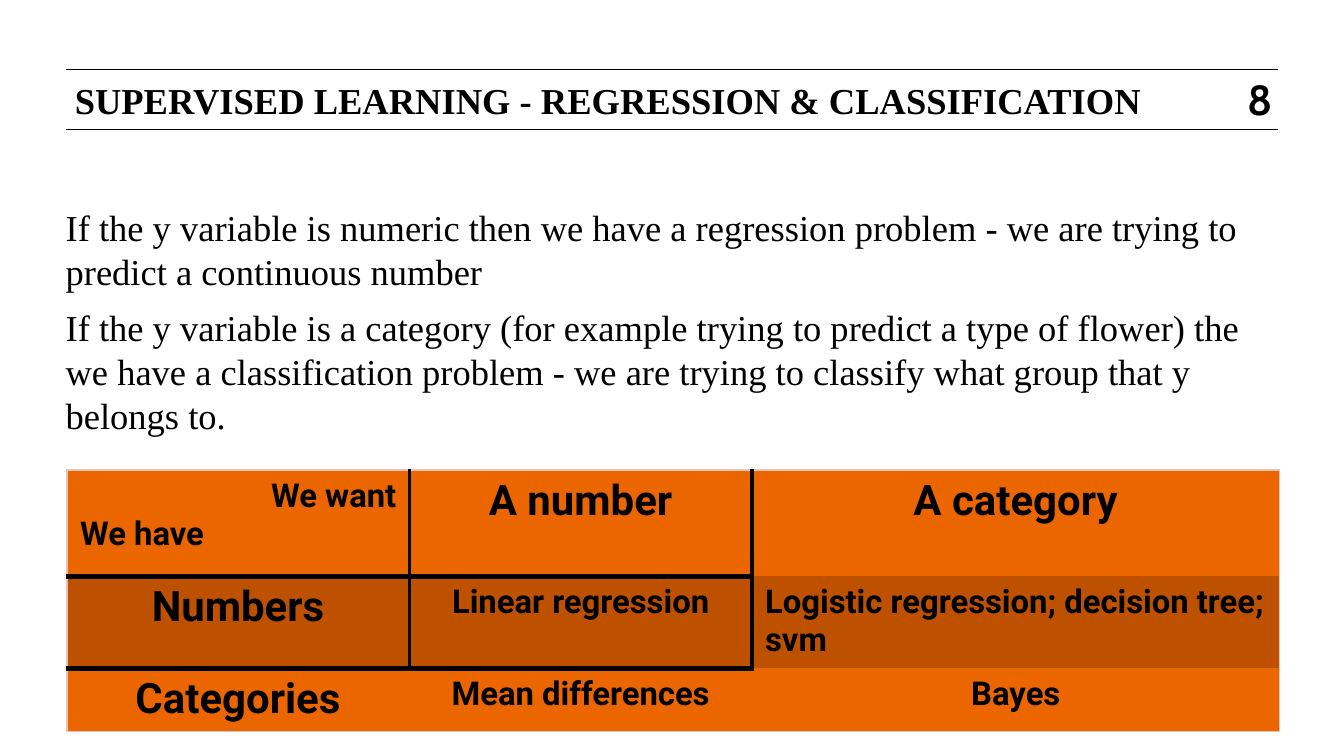
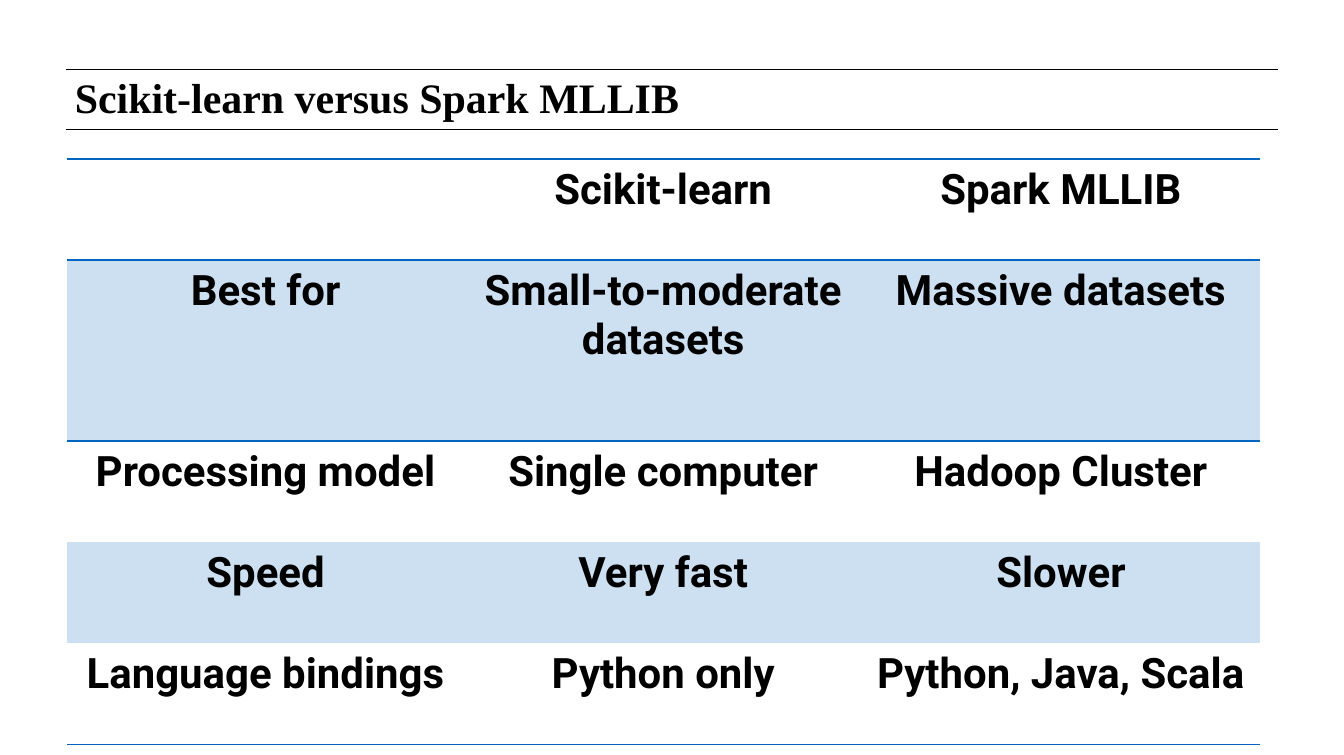
import pptx
import pptx.util
import pptx.dml.color
import pptx.enum.shapes
import pptx.enum.text
import pptx.oxml
import pptx.oxml.ns
from lxml import etree

WIDTH, HEIGHT = 10.24, 5.75
LEFT, RIGHT = 0.5, 9.74
RULES = (0.53, 0.99)
BLACK, ORANGE, DARK_ORANGE, PALE_ORANGE = "000000", "EC6600", "BD5100", "EBC2B8"
BLUE, PALE_BLUE, WHITE = "0365C0", "CDE0F2", "FFFFFF"
NO_STYLE = "{2D5ABB26-0587-4C30-8999-92F81FD0307C}"
ALIGN = pptx.enum.text.PP_ALIGN
ANCHOR = pptx.enum.text.MSO_ANCHOR

SERIF = {"name": "Times New Roman", "size": 20, "bold": False}
TITLE = {**SERIF, "bold": True}
NUMBER = {"name": "Cabin", "size": 23, "bold": True}
LARGE = {"name": "Roboto", "size": 23, "bold": True}
SMALL = {**LARGE, "size": 18}

LEARNING_TEXT = [
    "If the y variable is numeric then we have a regression problem - we are trying to predict a continuous number",
    "If the y variable is a category (for example trying to predict a type of flower) the we have a classification "
    "problem - we are trying to classify what group that y belongs to.",
]

LEARNING_TABLE = {
    "left": 0.51, "top": 3.58,
    "columns": [2.61, 2.61, 4.02],
    "rows": [0.81, 0.7, 0.48],
    "fills": [ORANGE, DARK_ORANGE, ORANGE],
    "cells": [
        [["We want", "We have"], ["A number"], ["A category"]],
        [["Numbers"], ["Linear regression"], ["Logistic regression; decision tree; svm"]],
        [["Categories"], ["Mean differences"], ["Bayes"]],
    ],
    "small": {(0, 0), (1, 1), (1, 2), (2, 1), (2, 2)},
    "alignments": {(0, 0): [ALIGN.RIGHT, ALIGN.LEFT], (1, 2): [ALIGN.LEFT]},
    "borders": [
        ("L", range(3), [0], PALE_ORANGE, 0.75),
        ("R", range(3), [2], PALE_ORANGE, 0.75),
        ("T", [0], range(3), PALE_ORANGE, 0.75),
        ("B", [2], range(3), PALE_ORANGE, 0.75),
        ("R", [0, 1], [0], BLACK, 2),
        ("L", [0, 1], [1], BLACK, 2),
        ("B", [0], [0, 1], BLACK, 3),
        ("T", [1], [0, 1], BLACK, 3),
    ],
}

LIBRARY_TABLE = {
    "left": 0.51, "top": 1.21,
    "columns": [3.03] * 3,
    "rows": [0.77, 1.38, 0.77, 0.77, 0.77],
    "fills": [WHITE, PALE_BLUE, WHITE, PALE_BLUE, WHITE],
    "cells": [
        [[], ["Scikit-learn"], ["Spark MLLIB"]],
        [["Best for"], ["Small-to-moderate datasets"], ["Massive datasets"]],
        [["Processing model"], ["Single computer"], ["Hadoop Cluster"]],
        [["Speed"], ["Very fast"], ["Slower"]],
        [["Language bindings"], ["Python only"], ["Python, Java, Scala"]],
    ],
    "small": set(),
    "alignments": {},
    "borders": [
        ("T", [0], range(3), BLUE, 1),
        ("B", [0], range(3), BLUE, 1),
        ("T", [1], range(3), BLUE, 1),
        ("B", [4], range(3), BLUE, 1),
    ],
}


def color(value):
    return pptx.dml.color.RGBColor.from_string(value)


def inches(*values):
    return [pptx.util.Inches(value) for value in values]


def set_font(font, formats):
    for name, value in formats.items():
        setattr(font, name, pptx.util.Pt(value) if name == "size" else value)
    font.color.rgb = color(BLACK)


def write(frame, texts, formats, alignments, spacing=None, gap=0):
    for index, text in enumerate(texts):
        paragraph = frame.add_paragraph() if index else frame.paragraphs[0]
        paragraph.alignment = alignments[index]
        if spacing:
            paragraph.line_spacing = pptx.util.Pt(spacing)
        if index and gap:
            paragraph.space_before = pptx.util.Pt(gap)
        run = paragraph.add_run()
        run.text = text
        set_font(run.font, formats)


def add_text(slide, box, texts, formats, inset=0, wrap=True,
             alignment=ALIGN.LEFT, anchor=ANCHOR.TOP, **spacing):
    frame = slide.shapes.add_textbox(*inches(*box)).text_frame
    margins = {f"margin_{side}": pptx.util.Inches(inset) for side in ("left", "right", "top", "bottom")}
    for name, value in {**margins, "word_wrap": wrap, "vertical_anchor": anchor}.items():
        setattr(frame, name, value)
    write(frame, texts, formats, [alignment] * len(texts), **spacing)


def add_rule(slide, top):
    rule = slide.shapes.add_connector(
        pptx.enum.shapes.MSO_CONNECTOR.STRAIGHT, *inches(LEFT, top, RIGHT, top))
    rule.line.color.rgb = color(BLACK)
    rule.line.width = pptx.util.Pt(0.5)
    etree.SubElement(rule._element.spPr, pptx.oxml.ns.qn("a:effectLst"))


def add_border(cell, side, value, width):
    cell._tc.get_or_add_tcPr().append(pptx.oxml.parse_xml(
        f'<a:ln{side} {pptx.oxml.ns.nsdecls("a")} w="{pptx.util.Pt(width)}">'
        f'<a:solidFill><a:srgbClr val="{value}"/></a:solidFill></a:ln{side}>'))


def add_table(slide, data):
    columns, rows = data["columns"], data["rows"]
    table = slide.shapes.add_table(
        len(rows), len(columns), *inches(data["left"], data["top"], sum(columns), sum(rows))).table
    table.first_row = table.horz_banding = False
    table._tbl.find(".//" + pptx.oxml.ns.qn("a:tableStyleId")).text = NO_STYLE
    for column, width in zip(table.columns, inches(*columns)):
        column.width = width
    for row, height in zip(table.rows, inches(*rows)):
        row.height = height
    for side, row_indexes, column_indexes, value, width in sorted(
            data["borders"], key=lambda border: "LRTB".index(border[0])):
        for row in row_indexes:
            for column in column_indexes:
                add_border(table.cell(row, column), side, value, width)
    for row, contents in enumerate(data["cells"]):
        for column, texts in enumerate(contents):
            place = (row, column)
            cell = table.cell(*place)
            cell.fill.solid()
            cell.fill.fore_color.rgb = color(data["fills"][row])
            write(cell.text_frame, texts, SMALL if place in data["small"] else LARGE,
                  data["alignments"].get(place, [ALIGN.CENTER]))


def add_slide(presentation, title, size):
    slide = presentation.slides.add_slide(presentation.slide_layouts[6])
    for top in RULES:
        add_rule(slide, top)
    add_text(slide, (0.51, 0.55, 8.71, 0.52), [title], {**TITLE, "size": size}, inset=0.06, spacing=23)
    return slide


def main():
    presentation = pptx.Presentation()
    presentation.slide_width, presentation.slide_height = inches(WIDTH, HEIGHT)

    learning = add_slide(presentation, "SUPERVISED LEARNING - REGRESSION & CLASSIFICATION", 20)
    add_text(learning, (9.5, 0.56, 0.2, 0.38), ["8"], NUMBER, wrap=False,
             alignment=ALIGN.CENTER, anchor=ANCHOR.MIDDLE)
    add_text(learning, (LEFT, 1.56, 9.25, 1.44), LEARNING_TEXT, SERIF, spacing=24, gap=7)
    add_table(learning, LEARNING_TABLE)

    libraries = add_slide(presentation, "Scikit-learn versus Spark MLLIB", 23)
    add_table(libraries, LIBRARY_TABLE)

    presentation.save("out.pptx")


if __name__ == "__main__":
    main()
